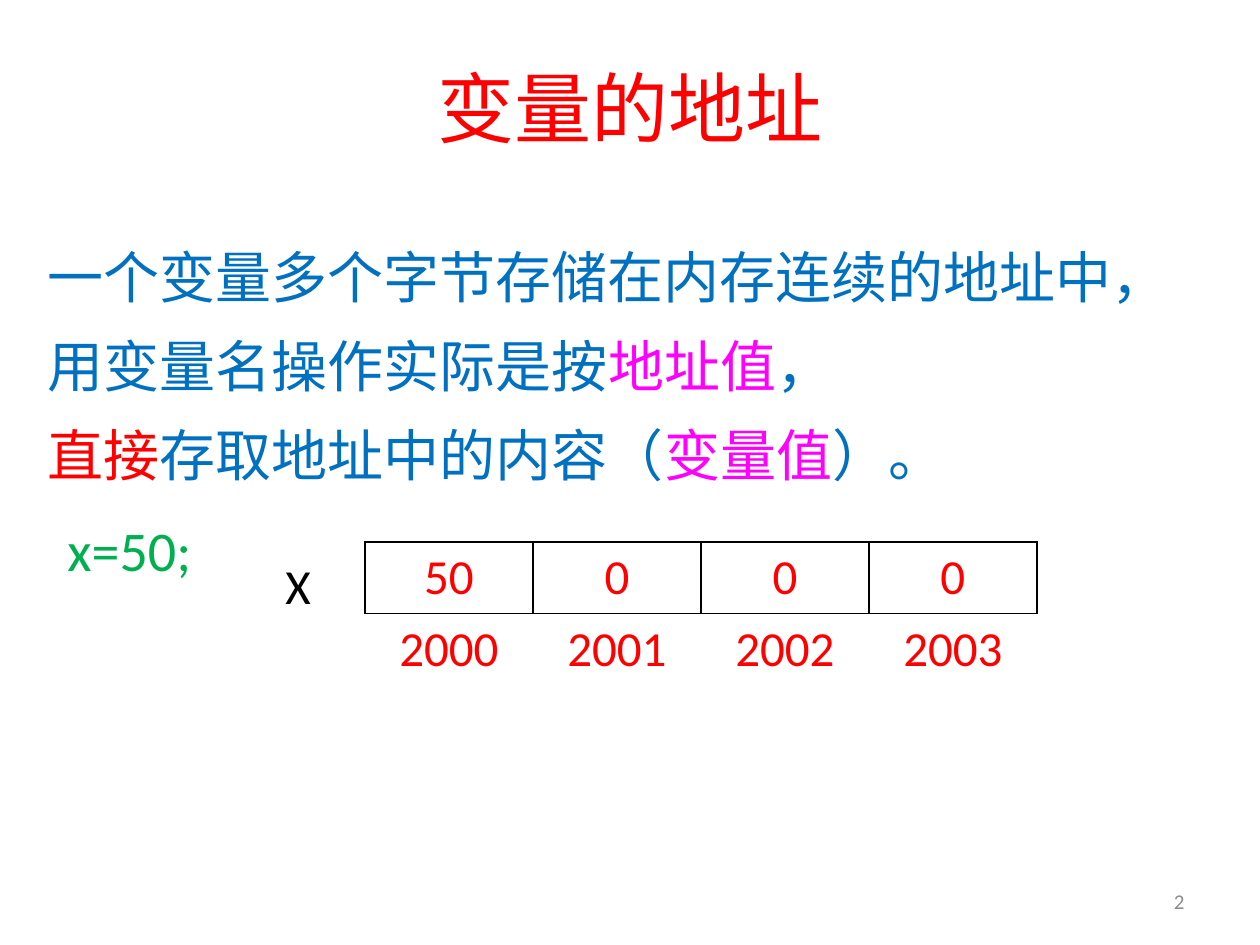
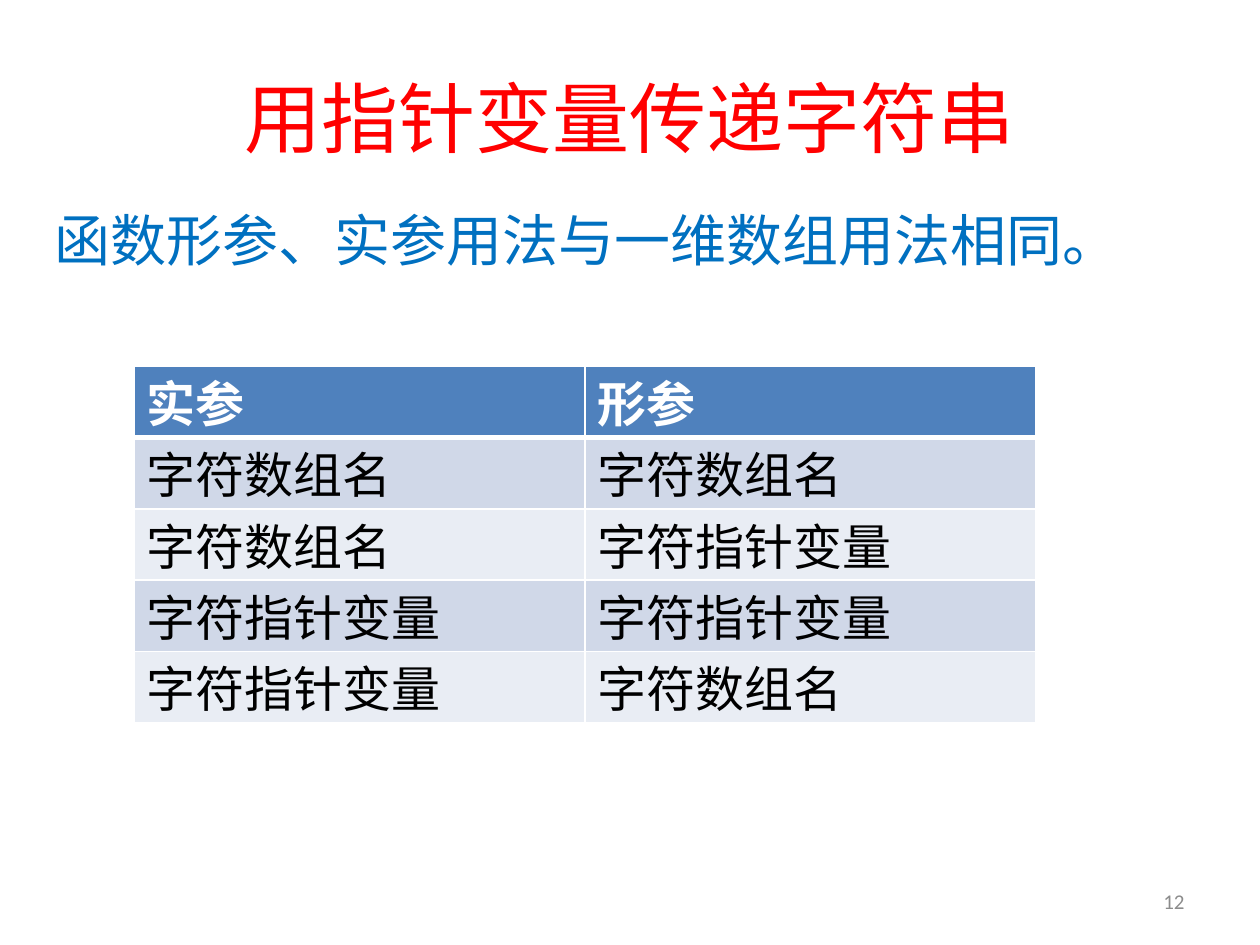
from dataclasses import dataclass
from typing import NamedTuple

from lxml import etree
from pptx import Presentation
from pptx.dml.color import RGBColor
from pptx.enum.text import MSO_ANCHOR, PP_ALIGN
from pptx.oxml.ns import qn
from pptx.util import Emu, Pt

LEFT, CENTER, RIGHT = PP_ALIGN.LEFT, PP_ALIGN.CENTER, PP_ALIGN.RIGHT
TOP, MIDDLE = MSO_ANCHOR.TOP, MSO_ANCHOR.MIDDLE
PIXEL = 914400 / 126
PAGE_WIDTH, PAGE_HEIGHT = 1260, 945
ALL_SIDES = "LRTB"


@dataclass(frozen=True)
class Theme:
    """Colours, fonts and type sizes shared by all pages."""
    chinese: str = "Noto Sans CJK SC"
    latin: str = "Calibri"
    red: str = "FF0000"
    blue: str = "0070C0"
    pink: str = "FF00FF"
    green: str = "00B050"
    black: str = "000000"
    white: str = "FFFFFF"
    grey: str = "8C8C8C"
    header: str = "4F81BD"
    bands: tuple = ("D0D8E8", "E9EDF4")
    title_size: int = 44
    body_size: int = 32
    cell_size: int = 28
    number_size: int = 12
    body_line: int = 39
    cell_line: int = 34
    body_gap: int = 12


class Box(NamedTuple):
    """A rectangle in whole pixels."""
    left: int
    top: int
    width: int
    height: int


THEME = Theme()
NUMBER_BOX = Box(903, 876, 294, 50)


def px(length):
    """Turn pixels into EMU."""
    return Emu(round(length * PIXEL))


def add_span(para, text, font, size, color, bold=False):
    """Add one run of text to a paragraph."""
    span = para.add_run()
    span.text = text
    span.font.size = Pt(size)
    span.font.bold = bold
    span.font.color.rgb = RGBColor.from_string(color)
    span.font.name = font
    properties = span.font._element
    properties.find(qn("a:latin")).addnext(
        etree.Element(qn("a:ea"), typeface=font))


def add_text(page, box, lines, font, size, align=LEFT, anchor=TOP,
             wrap=True, line=None, gap=0, inset=6):
    """Add a text box; each line is a list of (text, colour) pairs."""
    frame = page.shapes.add_textbox(*map(px, box)).text_frame
    frame.word_wrap = wrap
    frame.vertical_anchor = anchor
    frame.margin_top = px(inset)
    for index, spans in enumerate(lines):
        para = frame.add_paragraph() if index else frame.paragraphs[0]
        para.alignment = align
        para.space_after = Pt(gap)
        if line:
            para.line_spacing = Pt(line)
        for text, color in spans:
            add_span(para, text, font, size, color)


def add_title(page, box, text):
    """Add the centred red page title."""
    add_text(page, box, [[(text, THEME.red)]], THEME.chinese,
             THEME.title_size, CENTER, MIDDLE)


def add_page_number(page, box, number):
    """Add the grey page number at the lower right."""
    add_text(page, box, [[(str(number), THEME.grey)]], THEME.latin,
             THEME.number_size, RIGHT, MIDDLE)


def add_body(page, box, lines):
    """Add the large explanatory text."""
    add_text(page, box, lines, THEME.chinese, THEME.body_size,
             line=THEME.body_line, gap=THEME.body_gap, inset=12)


def set_border(cell, side, color=None, width=1):
    """Draw one side of a cell, or clear it when no colour is given."""
    edge = etree.SubElement(cell._tc.get_or_add_tcPr(), qn("a:ln" + side),
                            w=str(Pt(width)))
    if color:
        fill = etree.SubElement(edge, qn("a:solidFill"))
        etree.SubElement(fill, qn("a:srgbClr"), val=color)
    else:
        etree.SubElement(edge, qn("a:noFill"))


def add_grid(page, box, rows, columns):
    """Add an unstyled table with equal rows and columns."""
    table = page.shapes.add_table(rows, columns, *map(px, box)).table
    table.first_row = table.horz_banding = False
    for row in table.rows:
        row.height = px(box.height / rows)
    for column in table.columns:
        column.width = px(box.width / columns)
    return table


def add_memory_table(page, box, values, addresses):
    """Add bordered byte values above their addresses."""
    table = add_grid(page, box, 2, len(values))
    for row, texts in enumerate((values, addresses)):
        for column, text in enumerate(texts):
            cell = table.cell(row, column)
            for side in ALL_SIDES:
                framed = row == 0 or side == "T"
                set_border(cell, side, THEME.black if framed else None)
            cell.fill.background()
            para = cell.text_frame.paragraphs[0]
            para.alignment = CENTER
            add_span(para, text, THEME.latin, THEME.cell_size, THEME.red)


def add_parameter_table(page, box, records):
    """Add a table with a bold header and banded rows."""
    table = add_grid(page, box, len(records), len(records[0]))
    for row, texts in enumerate(records):
        is_header = row == 0
        fill = THEME.header if is_header else THEME.bands[(row - 1) % 2]
        color = THEME.white if is_header else THEME.black
        for column, text in enumerate(texts):
            cell = table.cell(row, column)
            for side in ALL_SIDES:
                heavy = (row, side) in ((0, "B"), (1, "T"))
                set_border(cell, side, THEME.white, 3 if heavy else 1)
            cell.fill.solid()
            cell.fill.fore_color.rgb = RGBColor.from_string(fill)
            cell.margin_top, cell.margin_bottom = px(11), 0
            para = cell.text_frame.paragraphs[0]
            para.line_spacing = Pt(THEME.cell_line)
            add_span(para, text, THEME.chinese, THEME.cell_size, color,
                     is_header)


def add_page(deck, title_box, title, number):
    """Add a blank page with its title and number."""
    page = deck.slides.add_slide(deck.slide_layouts[6])
    add_title(page, title_box, title)
    add_page_number(page, NUMBER_BOX, number)
    return page


def build_address_page(deck):
    """Explain how a variable is stored in memory."""
    page = add_page(deck, Box(63, 28, 1134, 157), "变量的地址", 2)
    blue, pink, red = THEME.blue, THEME.pink, THEME.red
    add_body(page, Box(35, 229, 1211, 258), [
        [("一个变量多个字节存储在内存连续的地址中，", blue)],
        [("用变量名操作实际是按", blue), ("地址值", pink), ("，", blue)],
        [("直接", red), ("存取地址中的内容（", blue), ("变量值", pink),
         ("）。", blue)],
    ])
    add_memory_table(page, Box(365, 542, 672, 142), ["50", "0", "0", "0"],
                     [str(2000 + offset) for offset in range(4)])
    add_text(page, Box(273, 549, 50, 72), [[("X", THEME.black)]],
             THEME.latin, THEME.cell_size, wrap=False)
    add_text(page, Box(55, 509, 151, 81), [[("x=50;", THEME.green)]],
             THEME.latin, THEME.body_size, wrap=False)


def build_parameter_page(deck):
    """List the ways of passing a string to a function."""
    page = add_page(deck, Box(63, 38, 1134, 157), "用指针变量传递字符串", 12)
    add_body(page, Box(42, 192, 1150, 81),
             [[("函数形参、实参用法与一维数组用法相同。", THEME.blue)]])
    array, pointer = "字符数组名", "字符指针变量"
    add_parameter_table(page, Box(134, 366, 902, 357), [
        ("实参", "形参"),
        (array, array),
        (array, pointer),
        (pointer, pointer),
        (pointer, array),
    ])


def main():
    """Build and save the deck."""
    deck = Presentation()
    deck.slide_width, deck.slide_height = px(PAGE_WIDTH), px(PAGE_HEIGHT)
    build_address_page(deck)
    build_parameter_page(deck)
    deck.save("out.pptx")


main()
